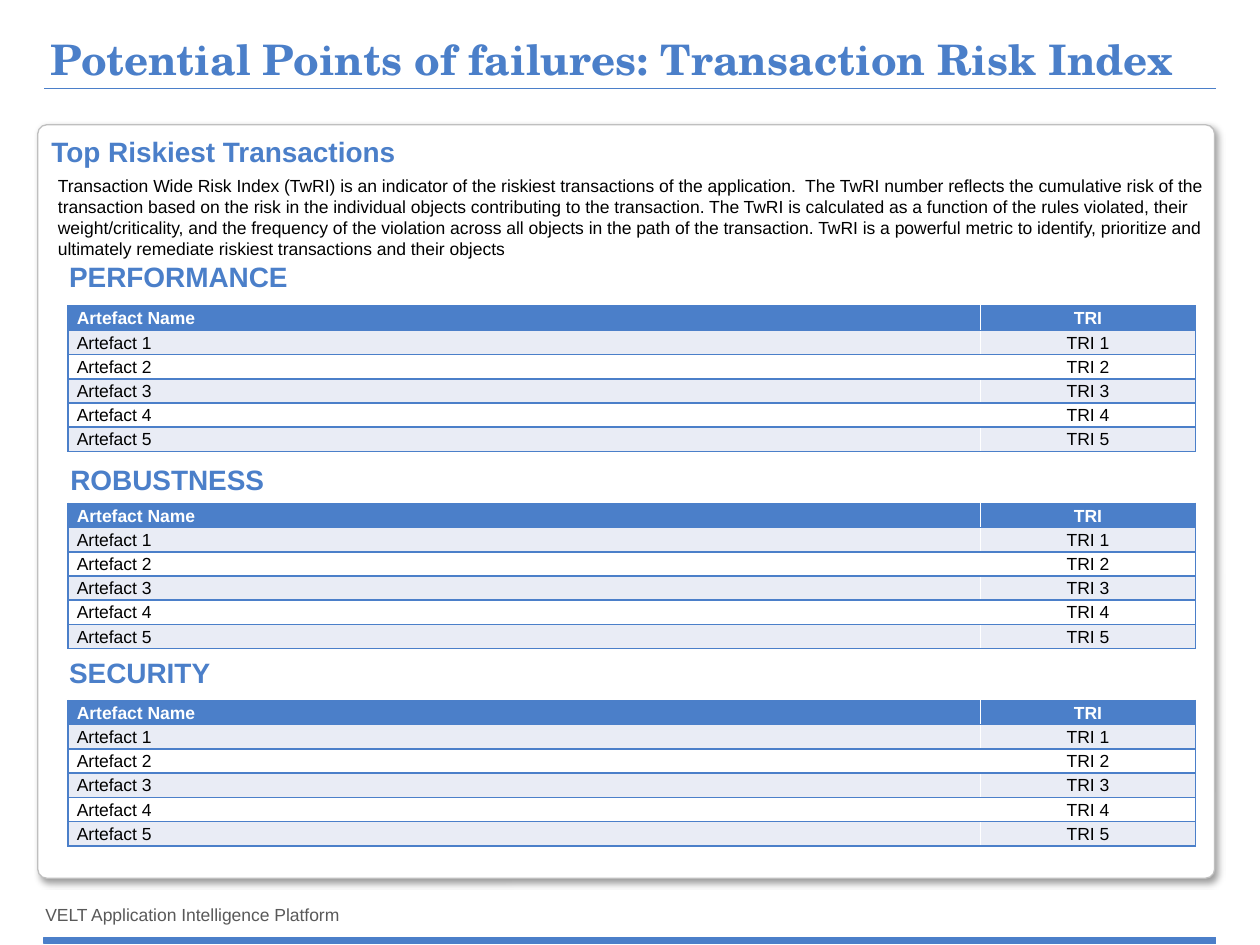
from dataclasses import dataclass

from lxml import etree
from pptx import Presentation
from pptx.dml.color import RGBColor
from pptx.enum.shapes import MSO_CONNECTOR as CONN, MSO_SHAPE as SHAPE
from pptx.enum.text import MSO_ANCHOR as ANCHOR, PP_ALIGN as ALIGN
from pptx.oxml import parse_xml
from pptx.oxml.ns import nsdecls, qn
from pptx.util import Inches, Pt


@dataclass(frozen=True)
class Theme:
    blue: str = "4B7FC9"
    band: str = "E9ECF5"
    white: str = "FFFFFF"
    black: str = "000000"
    grey: str = "595959"
    edge: str = "BFBFBF"
    serif: str = "TeX Gyre Schola"
    sans: str = "Arial"
    title: int = 24
    heading: int = 16
    body: int = 10


T = Theme()
TITLE = "Potential Points of failures: Transaction Risk Index"
SUBTITLE = "Top Riskiest Transactions"
INTRO = (
    "Transaction Wide Risk Index (TwRI) is an indicator of the riskiest transactions of the "
    "application.  The TwRI number reflects the cumulative risk of the transaction based on the "
    "risk in the individual objects contributing to the transaction. The TwRI is calculated as a "
    "function of the rules violated, their weight/criticality, and the frequency of the violation "
    "across all objects in the path of the transaction. TwRI is a powerful metric to identify, "
    "prioritize and ultimately remediate riskiest transactions and their objects"
)
FOOTER = "VELT Application Intelligence Platform"
SECTIONS = [("PERFORMANCE", 0.45, 2.01), ("ROBUSTNESS", 0.46, 3.62), ("SECURITY", 0.45, 5.15)]
ROWS = [("Artefact Name", "TRI")] + [(f"Artefact {i}", f"TRI {i}") for i in range(1, 6)]

WIDTH, HEIGHT = 10, 7.5
MARGIN = 0.35
CONTENT_W = WIDTH - 2 * MARGIN
TABLE_LEFT, TABLE_TOP, TABLE_PITCH = 0.54, 2.43, 1.565
COLS, TABLE_H = (7.24, 1.71), 1.15
BOX_INSETS = (0.1, 0.05, 0.1, 0.05)


def rgb(value):
    return RGBColor.from_string(value)


def box(*lengths):
    return [Inches(n) for n in lengths]


def set_font(p, size, color, bold=False, name=T.sans):
    f = p.font
    f.size, f.bold, f.name = Pt(size), bold, name
    f.color.rgb = rgb(color)


def set_frame(tf, insets, anchor=ANCHOR.TOP, wrap=True):
    tf.margin_left, tf.margin_top, tf.margin_right, tf.margin_bottom = box(*insets)
    tf.vertical_anchor, tf.word_wrap = anchor, wrap


def add_text(slide, text, at, size, color, bold=False, insets=BOX_INSETS, **frame):
    tf = slide.shapes.add_textbox(*box(*at)).text_frame
    set_frame(tf, insets, **frame)
    tf.text = text
    set_font(tf.paragraphs[0], size, color, bold)


def add_panel(slide, kind, at, fill, line):
    sp = slide.shapes.add_shape(kind, *box(*at))
    sp.shadow.inherit = False
    sp.fill.solid()
    sp.fill.fore_color.rgb = rgb(fill)
    sp.line.color.rgb = rgb(line)
    sp.line.width = Pt(0.75)
    return sp


def add_shadow(sp):
    effects = sp._element.spPr.find(qn("a:effectLst"))
    effects.append(parse_xml(
        f'<a:outerShdw {nsdecls("a")} blurRad="{Pt(4)}" dist="{Pt(3)}" dir="2700000" '
        f'algn="tl" rotWithShape="0"><a:srgbClr val="{T.black}">'
        '<a:alpha val="40000"/></a:srgbClr></a:outerShdw>'))


def add_rule(slide, y):
    line = slide.shapes.add_connector(CONN.STRAIGHT, *box(MARGIN, y, MARGIN + CONTENT_W, y))
    line.line.color.rgb = rgb(T.blue)
    line.line.width = Pt(0.5)
    etree.SubElement(line._element.spPr, qn("a:effectLst"))


def set_borders(cell, sides):
    tc_pr = cell._tc.get_or_add_tcPr()
    for i, side in enumerate(sides):
        tc_pr.insert(i, parse_xml(
            f'<a:ln{side} {nsdecls("a")} w="{Pt(1)}"><a:solidFill>'
            f'<a:srgbClr val="{T.blue}"/></a:solidFill></a:ln{side}>'))


def add_risk_table(slide, top):
    frame = slide.shapes.add_table(len(ROWS), len(COLS), *box(TABLE_LEFT, top, sum(COLS), TABLE_H))
    table = frame.table
    for column, width in zip(table.columns, COLS):
        column.width = Inches(width)
    for r, values in enumerate(ROWS):
        table.rows[r].height = Inches(TABLE_H / len(ROWS))
        header = r == 0
        fill = T.blue if header else (T.white, T.band)[r % 2]
        for c, value in enumerate(values):
            cell = table.cell(r, c)
            cell.margin_left = cell.margin_right = Inches(0.07)
            cell.margin_top = cell.margin_bottom = 0
            cell.fill.solid()
            cell.fill.fore_color.rgb = rgb(fill)
            set_borders(cell, "RTB" if c else "LTB")
            cell.text = value
            p = cell.text_frame.paragraphs[0]
            p.line_spacing = 1.15
            p.alignment = ALIGN.CENTER if c else ALIGN.LEFT
            set_font(p, T.body, T.white if header else T.black, header)


def add_title(slide):
    title = slide.shapes.title
    title.left, title.top, title.width, title.height = box(MARGIN, 0.24, CONTENT_W, 0.43)
    tf = title.text_frame
    set_frame(tf, (0.05, 0.05, 0.05, 0), ANCHOR.BOTTOM)
    tf.text = TITLE
    p = tf.paragraphs[0]
    p.alignment, p.line_spacing = ALIGN.LEFT, 0.9
    set_font(p, T.title, T.blue, True, T.serif)


def main():
    prs = Presentation()
    prs.slide_width, prs.slide_height = box(WIDTH, HEIGHT)
    slide = prs.slides.add_slide(prs.slide_layouts[5])

    add_text(slide, FOOTER, (0.36, 7.13, 2.44, 0.25), T.body, T.grey,
             insets=(0, 0, 0, 0), anchor=ANCHOR.MIDDLE, wrap=False)
    add_rule(slide, 0.7)
    add_panel(slide, SHAPE.RECTANGLE, (MARGIN, 7.44, CONTENT_W, 0.05), T.blue, T.blue)
    add_title(slide)

    card = add_panel(slide, SHAPE.ROUNDED_RECTANGLE, (0.3, 0.99, 9.34, 5.98), T.white, T.edge)
    card.adjustments[0] = 0.012
    add_shadow(card)

    add_text(slide, SUBTITLE, (0.31, 1.02, 6.98, 0.37), T.heading, T.blue, True)
    add_text(slide, INTRO, (0.46, 1.39, 9.18, 0.55), T.body, T.black, insets=(0, 0, 0, 0))
    for i, (name, left, top) in enumerate(SECTIONS):
        add_text(slide, name, (left, top, 2.08, 0.37), T.heading, T.blue, True)
        add_risk_table(slide, TABLE_TOP + i * TABLE_PITCH)

    prs.save("out.pptx")


if __name__ == "__main__":
    main()
